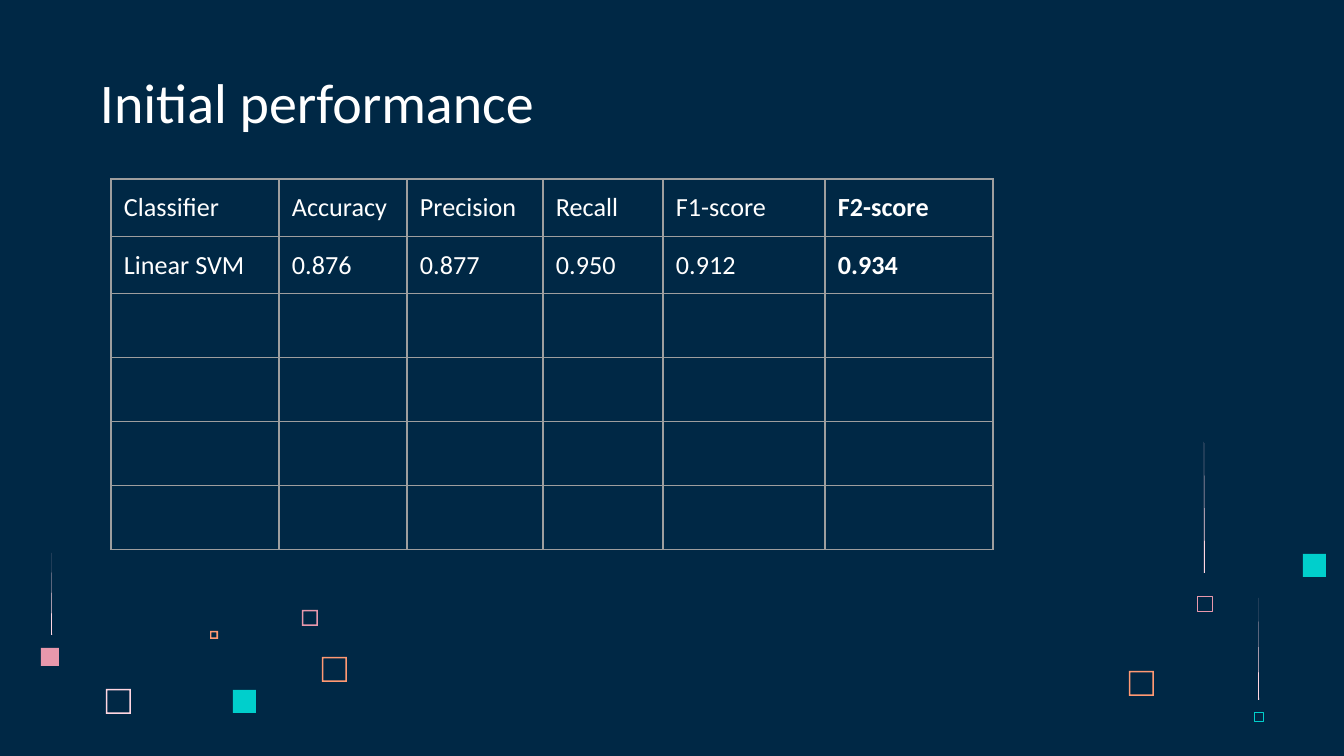
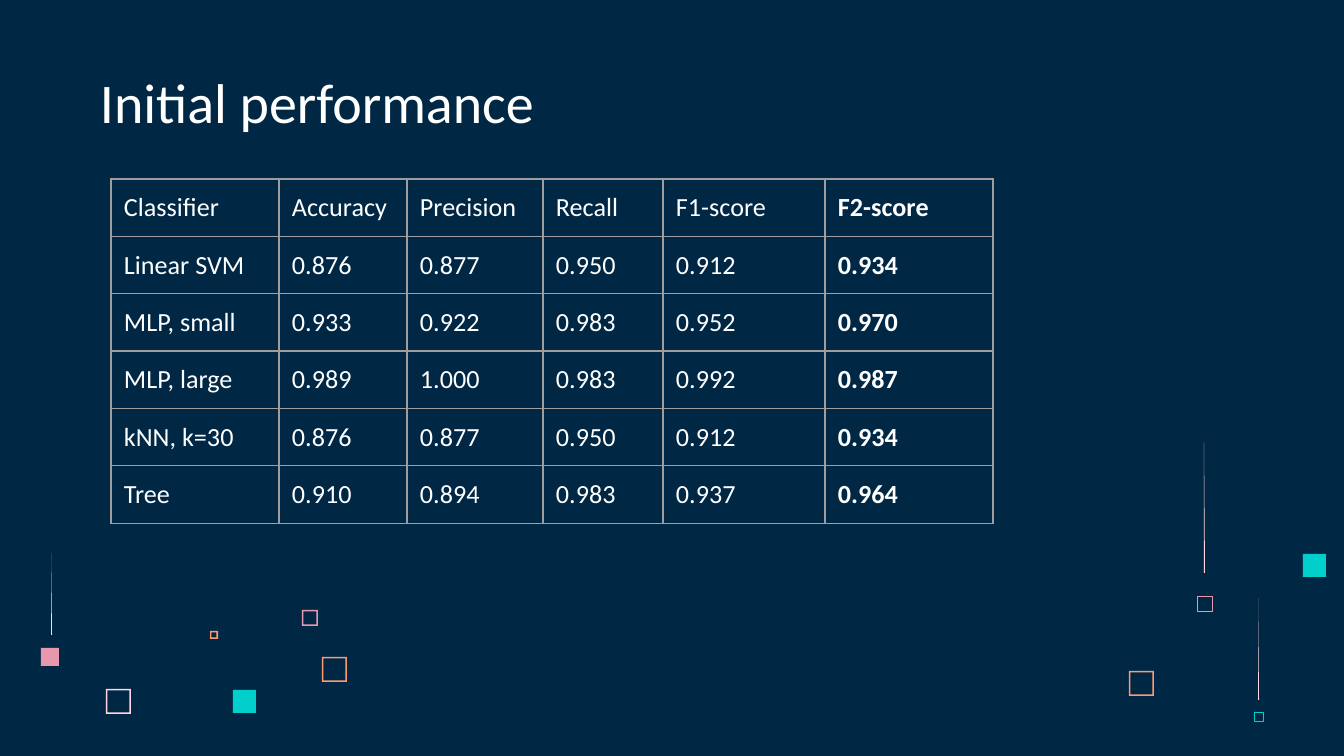
from lxml.etree import SubElement
from pptx import Presentation
from pptx.dml.color import RGBColor
from pptx.enum.shapes import MSO_SHAPE as Shape
from pptx.enum.text import MSO_ANCHOR as Anchor
from pptx.oxml import parse_xml
from pptx.oxml.ns import nsdecls, qn
from pptx.util import Pt

PX = 914400 / 134.4
FONT = "Calibri"

NAVY = RGBColor(0x00, 0x28, 0x45)
WHITE = RGBColor(0xFF, 0xFF, 0xFF)
BLUSH = RGBColor(0xFF, 0xD6, 0xE1)
PINK = RGBColor(0xE8, 0x98, 0xAC)
ORANGE = RGBColor(0xFF, 0x99, 0x73)
TEAL = RGBColor(0x00, 0xCF, 0xCC)
GREY = RGBColor(0x9E, 0x9E, 0x9E)

SLIDE_SIZE = (1344, 756)
TITLE_BOX = (87, 63, 1079, 85)
TABLE_ORIGIN = (111, 179)
COLUMN_WIDTHS = (168, 128, 136, 120, 162, 168)
TEXT_ROW, EMPTY_ROW = 56, 64
INSET = 13
FRAME_THICKNESS = 1.5

# left, top, side, colour
FRAMES = [
    (106, 689, 25, BLUSH),
    (302, 610, 16, PINK),
    (210, 631, 8, ORANGE),
    (322, 657, 25, ORANGE),
    (1129, 671, 25, ORANGE),
]
SOLID_SQUARES = [(233, 690, 23, TEAL), (41, 648, 18, PINK), (1303, 554, 23, TEAL)]
THIN_SQUARES = [(1197, 596, 15, PINK), (1254, 712, 9, TEAL)]
# left, top, height
STREAKS = [(1204, 442, 131), (51, 553, 82), (1258, 598, 102)]

HEADINGS = ("Classifier", "Accuracy", "Precision", "Recall", "F1-score", "F2-score")
SCORES = [
    ("Linear SVM", "0.876", "0.877", "0.950", "0.912", "0.934"),
    ("MLP, small", "0.933", "0.922", "0.983", "0.952", "0.970"),
    ("MLP, large", "0.989", "1.000", "0.983", "0.992", "0.987"),
    ("kNN, k=30", "0.876", "0.877", "0.950", "0.912", "0.934"),
    ("Tree", "0.910", "0.894", "0.983", "0.937", "0.964"),
]


def px(*lengths):
    return [round(length * PX) for length in lengths]


def format_text(text_frame, size, bold=False):
    for paragraph in text_frame.paragraphs:
        for run in paragraph.runs:
            run.font.name = FONT
            run.font.size = Pt(size)
            run.font.bold = bold
            run.font.color.rgb = WHITE


def set_insets(frame):
    """Give a text frame or a table cell equal margins on all sides."""
    inset, = px(INSET)
    frame.margin_left = frame.margin_right = inset
    frame.margin_top = frame.margin_bottom = inset


def paint(shape, fill=None, line=None):
    shape.shadow.inherit = False
    if fill is None:
        shape.fill.background()
    else:
        shape.fill.solid()
        shape.fill.fore_color.rgb = fill
    if line is None:
        shape.line.fill.background()
    else:
        shape.line.color.rgb = line
        shape.line.width = Pt(0.23)


def add_square(slide, left, top, side, kind=Shape.RECTANGLE):
    return slide.shapes.add_shape(kind, *px(left, top, side, side))


def add_streak(slide, left, top, height):
    """Draw a sliver that starts as a point and widens to one px."""
    builder = slide.shapes.build_freeform(left, top, scale=PX)
    builder.add_line_segments([(left, top + height), (left + 1, top + height)])
    paint(builder.convert_to_shape(), fill=BLUSH)


def add_decoration(slide):
    for left, top, side, color in FRAMES:
        frame = add_square(slide, left, top, side, Shape.FRAME)
        frame.adjustments[0] = FRAME_THICKNESS / side
        paint(frame, fill=color)
    for left, top, side, color in SOLID_SQUARES:
        paint(add_square(slide, left, top, side), fill=color)
    for left, top, side, color in THIN_SQUARES:
        paint(add_square(slide, left, top, side), line=color)
    for streak in STREAKS:
        add_streak(slide, *streak)


def add_title(slide, text, box):
    text_frame = slide.shapes.add_textbox(*px(*box)).text_frame
    text_frame.word_wrap = True
    text_frame.vertical_anchor = Anchor.BOTTOM
    set_insets(text_frame)
    text_frame.text = text
    format_text(text_frame, 30)


def add_borders(cell):
    properties = cell._tc.get_or_add_tcPr()
    for index, side in enumerate(("lnL", "lnR", "lnT", "lnB")):
        border = parse_xml(f'<a:{side} {nsdecls("a")} w="{Pt(0.75)}"/>')
        fill = SubElement(border, qn("a:solidFill"))
        SubElement(fill, qn("a:srgbClr"), val=str(GREY))
        properties.insert(index, border)


def fill_cell(cell, text, bold):
    cell.fill.background()
    add_borders(cell)
    if text:
        set_insets(cell)
        cell.text = text
        format_text(cell.text_frame, 14, bold)


def add_score_table(slide, scores, origin):
    """Show the headings and scores, leaving a row empty for each classifier to come."""
    blank = ("",) * len(HEADINGS)
    rows = [HEADINGS, *scores] + [blank] * (len(SCORES) - len(scores))
    heights = [TEXT_ROW if any(row) else EMPTY_ROW for row in rows]
    box = px(*origin, sum(COLUMN_WIDTHS), sum(heights))
    table = slide.shapes.add_table(len(rows), len(HEADINGS), *box).table
    table.first_row = table.horz_banding = False
    for column, width in zip(table.columns, px(*COLUMN_WIDTHS)):
        column.width = width
    for row, height, texts in zip(table.rows, px(*heights), rows):
        row.height = height
        for index, (cell, text) in enumerate(zip(row.cells, texts)):
            fill_cell(cell, text, bold=index == len(HEADINGS) - 1)


def add_performance_slide(presentation, scores):
    slide = presentation.slides.add_slide(presentation.slide_layouts[6])
    slide.background.fill.solid()
    slide.background.fill.fore_color.rgb = NAVY
    add_decoration(slide)
    add_title(slide, "Initial performance", TITLE_BOX)
    add_score_table(slide, scores, TABLE_ORIGIN)


def main():
    presentation = Presentation()
    presentation.slide_width, presentation.slide_height = px(*SLIDE_SIZE)
    for scores in (SCORES[:1], SCORES):
        add_performance_slide(presentation, scores)
    presentation.save("out.pptx")


if __name__ == "__main__":
    main()
